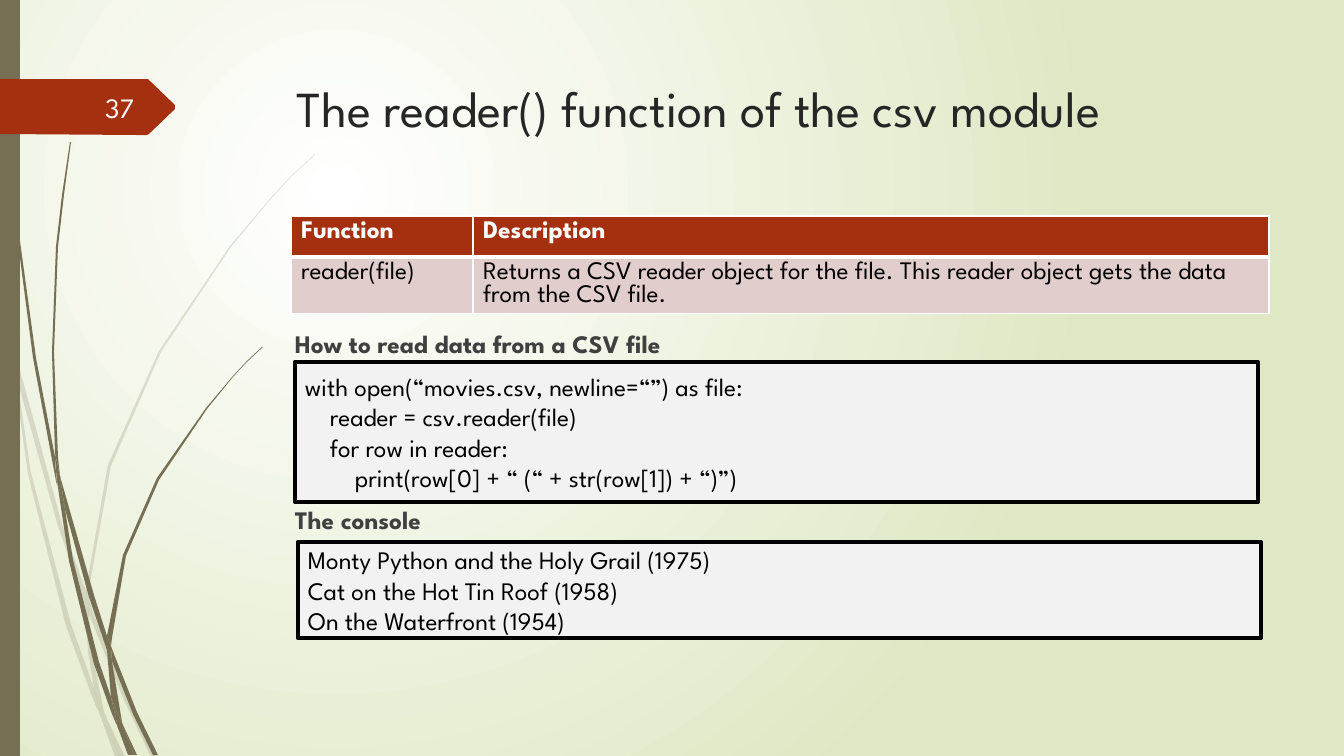
from lxml import etree
from pptx import Presentation
from pptx import util as u
from pptx.dml.color import RGBColor
from pptx.enum import shapes, text
from pptx.oxml import parse_xml
from pptx.oxml.ns import nsdecls, qn

HUES = {"white": "FFFFFF", "sage": "DFE8C4", "olive": "766F54", "rust": "A53010",
        "title": "262626", "head": "404040", "black": "000000", "panel": "F2F2F2",
        "rose": "E1CDCC", "number": "FEFFFF"}
FONT = "League Spartan"
PX = u.Inches(1) / 100.8
WIDE, HIGH = 1344, 756
TAB = 25  # one code indent

TITLE = "The reader() function of the csv module"
NUMBER = "37"
HEADS = ["How to read data from a CSV file", "The console"]
ROWS = [
    ["Function", "Description"],
    ["reader(file)", "Returns a CSV reader object for the file. "
     "This reader object gets the data from the CSV file."],
]
COLS, TALL = [182, 796], [41, 56]
CODE = [  # indent level, line
    (0, "with open(“movies.csv, newline=“”) as file:"),
    (1, "reader = csv.reader(file)"),
    (1, "for row in reader:"),
    (2, "print(row[0] + “ (“ + str(row[1]) + “)”)"),
]
FILMS = ["Monty Python and the Holy Grail (1975)",
         "Cat on the Hot Tin Roof (1958)", "On the Waterfront (1954)"]
PANELS = [((295, 362, 963, 140), CODE),
          ((298, 542, 963, 96), [(0, film) for film in FILMS])]
TAG = [(0, 79), (148, 79), (149, 80), (175, 105), (175, 109), (149, 134),
       (147, 135), (137, 135), (0, 134)]

# Outlines of the grass, one blade part each
PALE = [
    [(11, 353), (9, 325), (0, 284), (0, 301), (10, 347)],
    [(58, 526), (85, 604), (86, 591), (62, 524), (14, 348), (17, 379)],
    [(93, 612), (89, 601), (89, 615), (124, 700), (151, 757), (156, 757), (128, 698)],
    [(120, 757), (125, 757), (106, 717)],
    [(94, 688), (71, 624), (31, 473), (17, 379), (11, 353), (28, 474), (66, 626),
     (93, 699), (102, 720), (100, 713)],
    [(85, 604), (88, 651), (94, 688), (97, 698), (106, 717), (104, 712), (92, 651),
     (89, 615), (89, 613)],
    [(89, 589), (111, 466), (161, 352), (231, 247), (270, 200), (292, 176),
     (315, 155), (315, 154), (291, 176), (270, 199), (230, 246), (159, 351),
     (108, 465), (86, 589), (86, 591), (89, 601)],
    [(102, 720), (115, 757), (120, 757)],
    [(89, 613), (89, 615), (89, 601), (86, 591), (85, 604)],
    [(97, 698), (94, 688), (100, 713), (102, 720), (120, 757), (106, 717)],
]
DARK = [
    [(7, 111), (17, 235), (33, 358), (56, 481), (57, 485), (55, 461), (55, 457),
     (36, 358), (19, 234), (8, 110), (5, 48), (4, 0), (3, 0), (4, 48)],
    [(89, 597), (107, 650), (107, 636), (94, 595), (60, 476), (65, 509)],
    [(114, 654), (111, 646), (112, 661), (133, 714), (153, 755), (158, 755),
     (137, 712)],
    [(111, 697), (99, 662), (73, 560), (65, 509), (57, 481), (69, 561), (94, 664),
     (112, 714), (118, 728), (117, 723)],
    [(60, 476), (58, 457), (54, 352), (58, 247), (64, 195), (71, 142), (70, 142),
     (62, 195), (56, 247), (52, 352), (55, 453)],
    [(134, 755), (137, 755), (123, 725)],
    [(57, 481), (65, 509), (60, 476), (55, 453), (55, 457)],
    [(112, 638), (126, 556), (159, 480), (207, 409), (233, 377), (247, 362),
     (263, 347), (262, 347), (247, 361), (233, 376), (206, 408), (157, 478),
     (123, 555), (107, 636), (111, 646)],
    [(118, 728), (128, 755), (132, 755)],
    [(107, 650), (111, 697), (117, 712), (123, 725), (122, 722), (112, 661),
     (110, 656)],
    [(107, 650), (110, 656), (112, 661), (111, 646), (107, 636)],
    [(117, 712), (111, 697), (117, 723), (118, 728), (131, 755), (134, 755),
     (123, 725)],
]


def emu(*nums):
    """Turn pixels into EMU."""
    return [u.Emu(round(n * PX)) for n in nums]


def rgb(hue):
    """Look up a named colour."""
    return RGBColor.from_string(HUES[hue])


def write(frame, lines, size=18, hue="black", bold=False, align=text.PP_ALIGN.LEFT,
          anchor=text.MSO_ANCHOR.TOP, lead=1.2, gap=0):
    """Fill a text frame with (indent level, line) pairs."""
    frame.word_wrap = True
    frame.vertical_anchor = anchor
    for i, (level, line) in enumerate(lines):
        para = frame.add_paragraph() if i else frame.paragraphs[0]
        para.alignment = align
        para.line_spacing = u.Pt(round(size * lead, 1))
        if i and gap:
            para.space_before = emu(gap)[0]
        if level:
            para._p.get_or_add_pPr().set("marL", str(emu(level * TAB)[0]))
        run = para.add_run()
        run.text = line
        run.font.name, run.font.size, run.font.bold = FONT, u.Pt(size), bold
        run.font.color.rgb = rgb(hue)


def label(box, lines, **style):
    """Add a text box and return its frame."""
    frame = slide.shapes.add_textbox(*emu(*box)).text_frame
    write(frame, lines, **style)
    return frame


def paint(shape, hue, line=None, alpha=None):
    """Set a flat fill, an optional line and an optional opacity."""
    shape.shadow.inherit = False
    shape.fill.solid()
    shape.fill.fore_color.rgb = rgb(hue)
    if alpha:
        clr = shape.fill._xPr.find(".//" + qn("a:srgbClr"))
        etree.SubElement(clr, qn("a:alpha")).set("val", str(alpha * 1000))
    if line:
        shape.line.color.rgb, shape.line.width = rgb(line), u.Pt(3)
    else:
        shape.line.fill.background()


def block(box, hue, line=None):
    """Add a painted rectangle."""
    shape = slide.shapes.add_shape(shapes.MSO_SHAPE.RECTANGLE, *emu(*box))
    paint(shape, hue, line)
    return shape


def outline(points, hue, alpha=None):
    """Add a closed, painted polygon."""
    first, *rest = [emu(*point) for point in points]
    pen = slide.shapes.build_freeform(*first)
    pen.add_line_segments(rest, close=True)
    paint(pen.convert_to_shape(), hue, alpha=alpha)


def edge(cell, side, width):
    """Give one side of a cell a white border."""
    cell._tc.get_or_add_tcPr().append(parse_xml(
        f'<a:ln{side} {nsdecls("a")} w="{u.Pt(width)}"><a:solidFill>'
        f'<a:srgbClr val="{HUES["white"]}"/></a:solidFill></a:ln{side}>'))


def grid(left, top):
    """Add the function table."""
    table = slide.shapes.add_table(
        len(ROWS), len(COLS), *emu(left, top, sum(COLS), sum(TALL))).table
    for col, wide in zip(table.columns, emu(*COLS)):
        col.width = wide
    for r, (row, tall) in enumerate(zip(table.rows, emu(*TALL))):
        row.height = tall
        head = r == 0
        for cell, words in zip(row.cells, ROWS[r]):
            write(cell.text_frame, [(0, words)], hue="white" if head else "black",
                  bold=head, lead=0.92)
            for side in "LRTB":
                thick = side == ("B" if head else "T")
                edge(cell, side, 3 if thick else 1)
            cell.fill.solid()
            cell.fill.fore_color.rgb = rgb("rust" if head else "rose")


def backdrop():
    """Set the radial background."""
    fill = slide.background.fill
    fill.gradient()
    for stop, hue in zip(fill.gradient_stops, ("white", "sage")):
        stop.color.rgb = rgb(hue)
    lin = slide._element.find(".//" + qn("a:lin"))
    lin.getparent().replace(lin, parse_xml(
        f'<a:path {nsdecls("a")} path="circle"><a:fillToRect l="50000" t="50000" '
        'r="100000" b="100000"/></a:path>'))


deck = Presentation()
deck.slide_width, deck.slide_height = emu(WIDE, HIGH)
slide = deck.slides.add_slide(deck.slide_layouts[6])

backdrop()
for part in PALE:
    outline(part, "olive", alpha=20)
for part in DARK:
    outline(part, "olive")
block((0, 0, 20, HIGH), "olive")
outline(TAG, "rust")

label((287, 72, 983, 141), [(0, TITLE)], size=36, hue="title")
label((58, 87, 86, 40), [(0, NUMBER)], size=20, hue="number",
      align=text.PP_ALIGN.RIGHT, anchor=text.MSO_ANCHOR.MIDDLE)
body = label((285, 235, 983, 416), [(0, head) for head in HEADS],
             hue="head", bold=True, gap=146)
body.margin_top = emu(93)[0]
grid(291, 216)
for box, lines in PANELS:
    write(block(box, "panel", "black").text_frame, lines,
          anchor=text.MSO_ANCHOR.MIDDLE)

deck.save("out.pptx")
